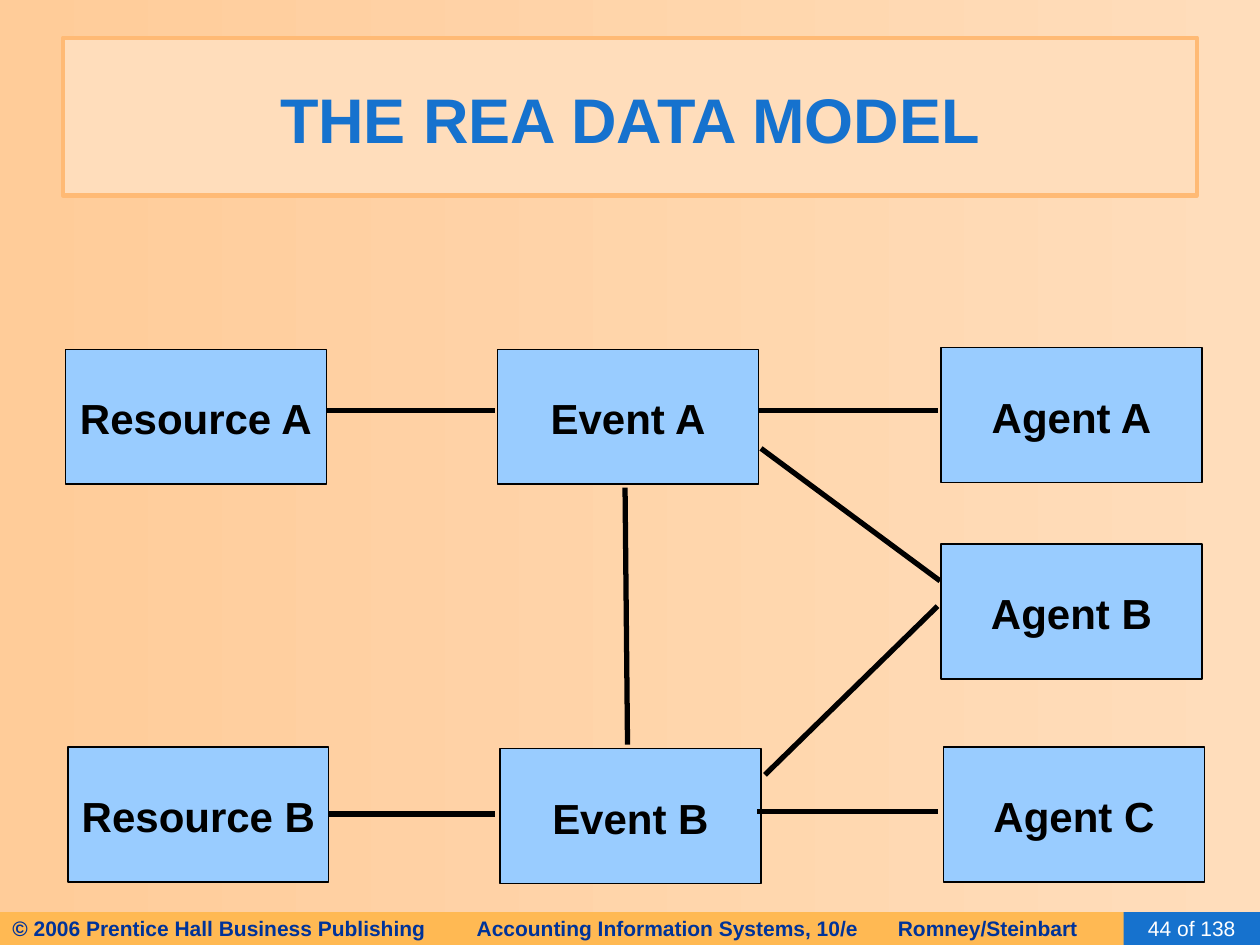
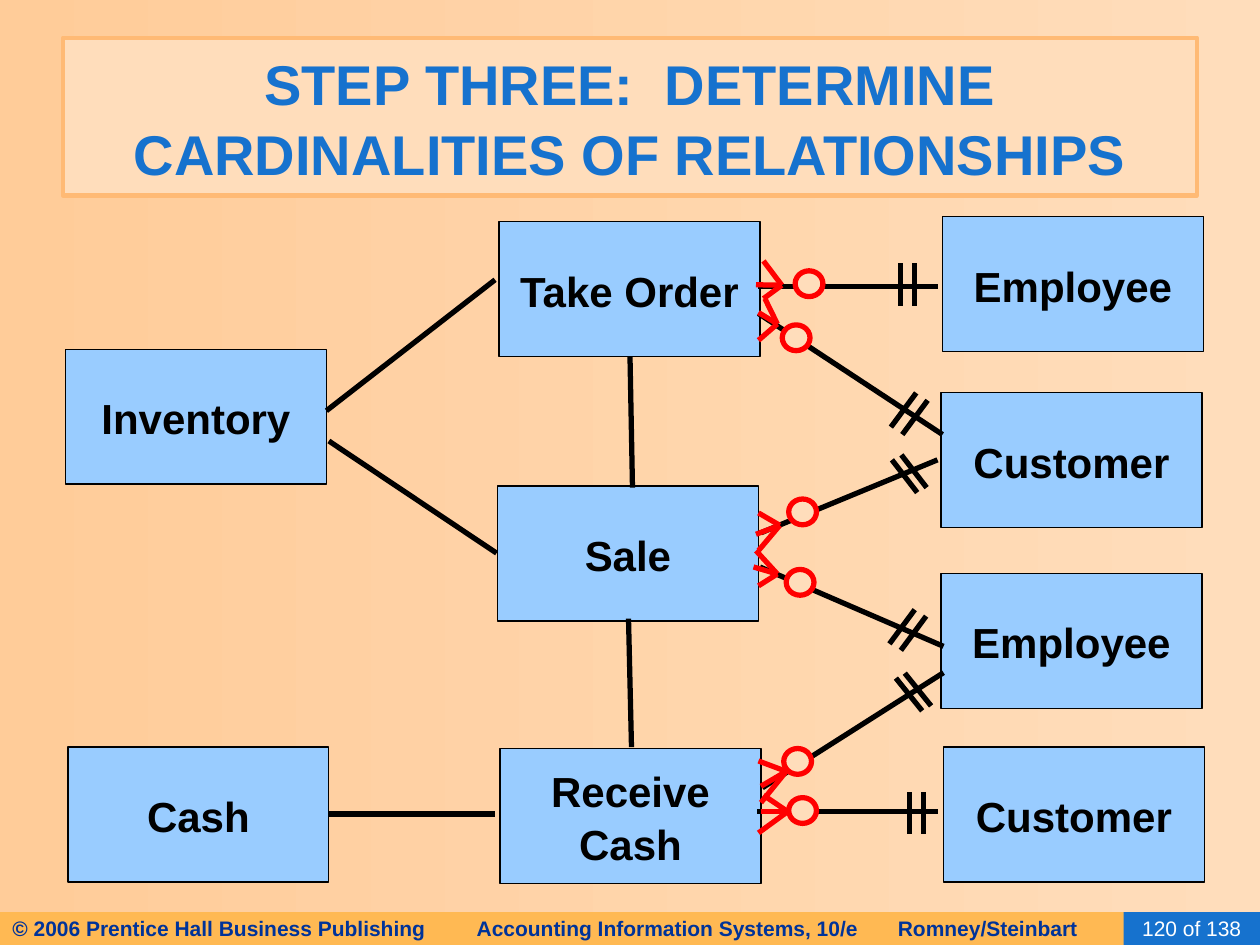
from lxml.etree import SubElement
from pptx import Presentation
from pptx.dml.color import RGBColor
from pptx.enum.shapes import MSO_CONNECTOR, MSO_SHAPE
from pptx.enum.text import MSO_ANCHOR, MSO_AUTO_SIZE, PP_ALIGN
from pptx.oxml.ns import qn
from pptx.util import Cm, Pt

# Shared look
FONT = "Arial"
PEACH = RGBColor(0xFF, 0xDD, 0xBB)
APRICOT = RGBColor(0xFF, 0xCC, 0x99)
TITLE_EDGE = RGBColor(0xFF, 0xBA, 0x75)
BAND = RGBColor(0xFF, 0xB9, 0x53)
BLUE = RGBColor(0x16, 0x72, 0xCE)
NAVY = RGBColor(0x00, 0x33, 0x99)
SKY = RGBColor(0x99, 0xCC, 0xFF)
BLACK = RGBColor(0, 0, 0)
WHITE = RGBColor(0xFF, 0xFF, 0xFF)
RED = RGBColor(0xFF, 0, 0)

# Sizes and positions in centimetres
ENTITY_SIZE = (5.26, 2.72)
CIRCLE_SIZE = (0.56, 0.52)
BAND_TOP, BAND_HEIGHT = 18.39, 0.66
FOOTER_PARTS = ["© 2006 Prentice Hall Business Publishing",
                "Accounting Information Systems, 10/e", "Romney/Steinbart"]
FOOTER_TABS = [9.36, 17.85]
PAGE_COUNT = 138

# Places and links that both diagrams use
UPPER_RESOURCE = (1.32, 7.04)
LOWER_RESOURCE = (1.37, 15.06)
LOWER_EVENT = (10.08, 15.09)
LOWER_AGENT = (19.02, 15.06)
LOWER_LINKS = [((6.63, 16.41), (9.98, 16.41)),
               ((15.27, 16.36), (18.9, 16.36))]

REA_ENTITIES = [
    ("Agent A", (18.97, 7.01)),
    ("Agent B", (18.97, 10.97)),
    ("Agent C", LOWER_AGENT),
    ("Event A", (10.03, 7.04)),
    ("Event B", LOWER_EVENT),
    ("Resource A", UPPER_RESOURCE),
    ("Resource B", LOWER_RESOURCE),
]
REA_LINKS = LOWER_LINKS + [
    ((15.29, 8.28), (18.9, 8.28)),
    ((15.42, 15.62), (18.9, 12.22)),
    ((12.6, 9.83), (12.65, 15.01)),
    ((6.58, 8.28), (9.98, 8.28)),
    ((15.34, 9.04), (18.95, 11.71)),
]

SALES_ENTITIES = [
    ("Sale", (10.03, 9.8)),
    ("Receive\nCash", LOWER_EVENT),
    ("Take Order", (10.06, 4.47)),
    ("Inventory", UPPER_RESOURCE),
    ("Cash", LOWER_RESOURCE),
    ("Customer", (18.97, 7.92)),
    ("Employee", (18.97, 11.56)),
    ("Customer", LOWER_AGENT),
    ("Employee", (19.0, 4.37)),
]
SALES_LINKS = LOWER_LINKS + [
    ((12.7, 7.19), (12.75, 9.83)),
    ((12.67, 12.47), (12.73, 15.06)),
    ((6.63, 8.89), (10.01, 11.15)),
    ((6.58, 8.28), (9.98, 5.64)),
    ((15.32, 11.43), (19.02, 13.03)),
    ((15.34, 10.74), (18.9, 9.27)),
    ((15.37, 15.88), (19.02, 13.56)),
    ((15.29, 5.77), (18.9, 5.77)),
    ((15.29, 6.32), (19.0, 8.76)),
]
# "Exactly one" marks: start of first bar, its reach, step to second bar
ONE_MARKS = [
    ((18.16, 5.31), (0, 0.85), (0.28, 0)),
    ((18.47, 7.92), (-0.51, 0.69), (0.23, 0.15)),
    ((17.98, 9.27), (0.51, 0.66), (0.19, -0.1)),
    ((18.44, 12.29), (-0.51, 0.69), (0.23, 0.13)),
    ((18.06, 13.67), (0.53, 0.66), (0.18, -0.1)),
    ((18.34, 15.97), (0, 0.85), (0.28, 0)),
]
# "Zero to many" marks: circle corner, tip of the crow's foot, its toes
MANY_MARKS = [
    ((16.03, 5.46), (15.76, 5.75), [(15.39, 5.26), (15.24, 5.74), (15.39, 6.02)]),
    ((15.77, 6.55), (15.67, 6.53), [(15.29, 6.3), (15.42, 6.02), (15.29, 6.86)]),
    ((15.9, 10.06), (15.72, 10.59), [(15.24, 10.77), (15.29, 10.34), (15.29, 11.1)]),
    ((15.85, 11.48), (15.67, 11.57), [(15.19, 11.43), (15.24, 11.1), (15.29, 11.81)]),
    ((15.8, 15.09), (15.85, 15.55), [(15.34, 15.85), (15.29, 15.34), (15.34, 16.18)]),
    ((15.9, 16.08), (15.88, 16.36), [(15.34, 16.36), (15.39, 16.03), (15.29, 16.79)]),
]


def write(paragraph, text, size, color, bold=True, align=PP_ALIGN.CENTER):
    paragraph.alignment = align
    run = paragraph.add_run()
    run.text = text
    run.font.name = FONT
    run.font.size = Pt(size)
    run.font.bold = bold
    run.font.color.rgb = color


def paint(shape, fill, edge=None, width=0.75):
    shape.fill.solid()
    shape.fill.fore_color.rgb = fill
    if edge is None:
        shape.line.fill.background()
    else:
        shape.line.color.rgb = edge
        shape.line.width = Pt(width)


def add_block(slide, kind, place, size, fill, edge=None, width=0.75):
    block = slide.shapes.add_shape(kind, *map(Cm, place + size))
    block.shadow.inherit = False
    paint(block, fill, edge, width)
    block.text_frame.vertical_anchor = MSO_ANCHOR.MIDDLE
    return block


def add_line(slide, start, end, color=BLACK):
    line = slide.shapes.add_connector(MSO_CONNECTOR.STRAIGHT, *map(Cm, start + end))
    line.line.color.rgb = color
    line.line.width = Pt(3)
    SubElement(line._element.spPr, qn("a:effectLst"))


def add_entity(slide, name, place):
    entity = add_block(slide, MSO_SHAPE.RECTANGLE, place, ENTITY_SIZE, SKY, BLACK)
    frame = entity.text_frame
    frame.word_wrap = False
    for index, words in enumerate(name.split("\n")):
        paragraph = frame.add_paragraph() if index else frame.paragraphs[0]
        paragraph.line_spacing = 1.05
        write(paragraph, words, 24, BLACK)


def add_one_mark(slide, start, reach, step):
    for count in range(2):
        x, y = (s + count * d for s, d in zip(start, step))
        add_line(slide, (x, y), (x + reach[0], y + reach[1]))


def add_many_mark(slide, corner, tip, toes):
    add_block(slide, MSO_SHAPE.OVAL, corner, CIRCLE_SIZE, PEACH, RED, 3)
    for toe in toes:
        add_line(slide, tip, toe, RED)


def add_footer(slide, page):
    band = add_block(slide, MSO_SHAPE.RECTANGLE, (0, BAND_TOP),
                     (23.5, BAND_HEIGHT), BAND)
    credit = band.text_frame.paragraphs[0]
    tabs = SubElement(credit._p.get_or_add_pPr(), qn("a:tabLst"))
    for position in FOOTER_TABS:
        SubElement(tabs, qn("a:tab"), pos=str(Cm(position)), algn="l")
    write(credit, "\t".join(FOOTER_PARTS), 12, NAVY, align=PP_ALIGN.LEFT)

    counter = add_block(slide, MSO_SHAPE.RECTANGLE, (22.65, BAND_TOP),
                        (2.75, BAND_HEIGHT), BLUE)
    counter.text_frame.word_wrap = False
    write(counter.text_frame.paragraphs[0], f"{page} of {PAGE_COUNT}", 12, WHITE, bold=False)


def add_diagram_slide(prs, title, title_size, page, entities, links):
    slide = prs.slides.add_slide(prs.slide_layouts[5])
    add_footer(slide, page)

    heading = slide.shapes.title
    heading.left, heading.top, heading.width, heading.height = map(
        Cm, (1.27, 0.76, 22.86, 3.18))
    paint(heading, PEACH, TITLE_EDGE, 2.5)
    frame = heading.text_frame
    frame.word_wrap = True
    frame.auto_size = MSO_AUTO_SIZE.NONE
    frame.vertical_anchor = MSO_ANCHOR.MIDDLE
    frame.paragraphs[0].line_spacing = 1.05
    write(frame.paragraphs[0], title, title_size, BLUE)

    for name, place in entities:
        add_entity(slide, name, place)
    for start, end in links:
        add_line(slide, start, end)
    return slide


def set_background(master):
    fill = master.background.fill
    fill.gradient()
    fill.gradient_angle = 180
    for stop, color in zip(fill.gradient_stops, (PEACH, APRICOT)):
        stop.color.rgb = color


def main():
    prs = Presentation()
    prs.slide_width, prs.slide_height = Cm(25.4), Cm(19.05)
    set_background(prs.slide_master)

    # General model
    add_diagram_slide(prs, "THE REA DATA MODEL", 36, 44, REA_ENTITIES, REA_LINKS)

    # Sales example with cardinalities
    sales = add_diagram_slide(
        prs, "STEP THREE:  DETERMINE CARDINALITIES OF RELATIONSHIPS", 32, 120,
        SALES_ENTITIES, SALES_LINKS)
    for mark in ONE_MARKS:
        add_one_mark(sales, *mark)
    for mark in MANY_MARKS:
        add_many_mark(sales, *mark)

    prs.save("out.pptx")


if __name__ == "__main__":
    main()
